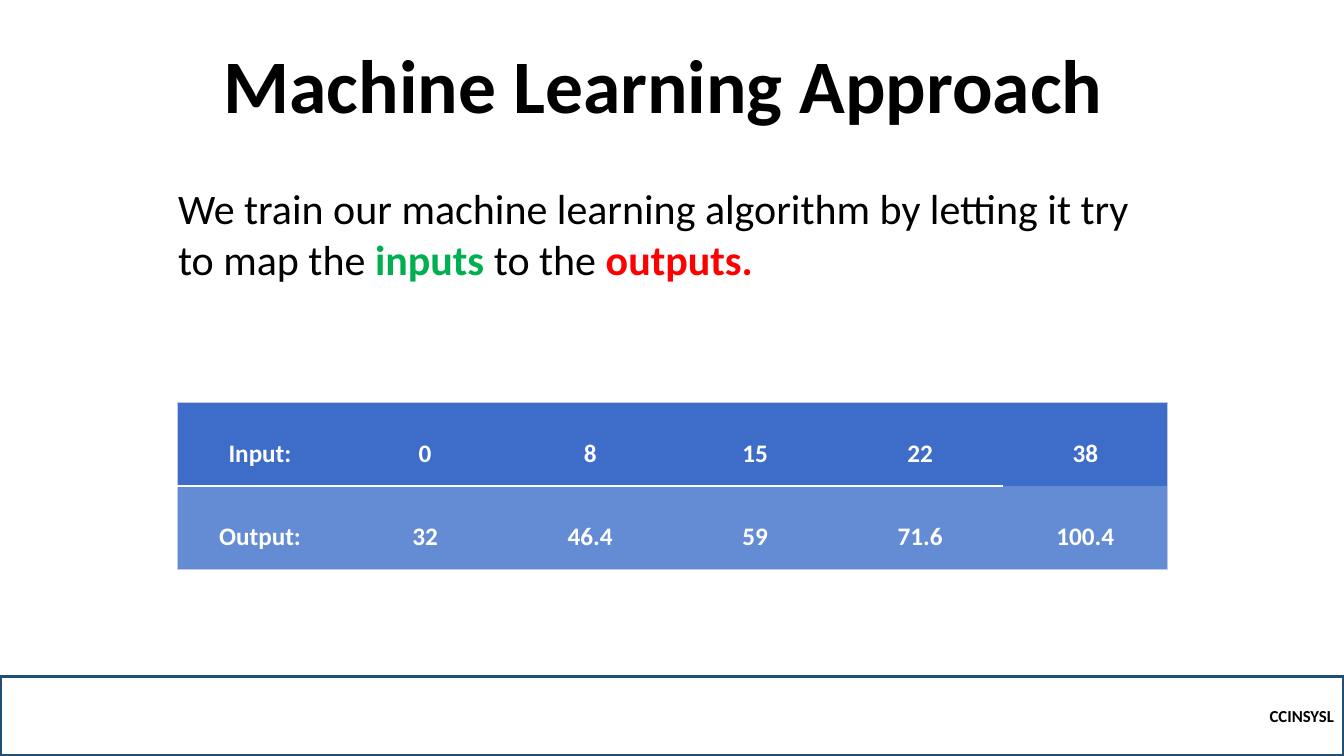
from lxml import etree
from pptx import Presentation
from pptx import util as u
from pptx.dml import color
from pptx.enum import shapes, text
from pptx.oxml import ns

BLACK, WHITE, GREEN, RED = "000000", "FFFFFF", "00B050", "FF0000"
OUTER_EDGE, ROW_EDGE = ("C1C9E4", 0.5), ("FFFFFF", 1.5)
SAMPLES = [
    ["Input:", "0", "8", "15", "22", "38"],
    ["Output:", "32", "46.4", "59", "71.6", "100.4"],
]
ROW_FILLS = ["3D6DC8", "648CD5"]


def rgb(value):
    """Turn a hex string into a colour."""
    return color.RGBColor.from_string(value)


def box(left, top, width, height):
    """Convert a frame given in points to lengths."""
    return [u.Pt(length) for length in (left, top, width, height)]


def write(paragraph, pieces, size, align, spacing=1.0):
    """Fill a paragraph with (text, colour, bold) pieces."""
    layout = {"alignment": align, "line_spacing": spacing, "space_before": u.Pt(0)}
    for key, value in layout.items():
        setattr(paragraph, key, value)
    for wording, shade, bold in pieces:
        run = paragraph.add_run()
        run.text = wording
        for key, value in {"name": "Calibri", "size": u.Pt(size), "bold": bold}.items():
            setattr(run.font, key, value)
        run.font.color.rgb = rgb(shade)


def fill_placeholder(placeholder, frame, anchor, pieces, size, align, spacing=1.0):
    """Move a placeholder and write its text."""
    for key, value in zip(("left", "top", "width", "height"), box(*frame)):
        setattr(placeholder, key, value)
    body = placeholder.text_frame
    settings = {"word_wrap": True, "auto_size": text.MSO_AUTO_SIZE.NONE,
                "vertical_anchor": anchor}
    for key, value in settings.items():
        setattr(body, key, value)
    write(body.paragraphs[0], pieces, size, align, spacing)


def add_footer(slide, label):
    """Draw the outlined footer bar with its course label."""
    footer = slide.shapes.add_shape(shapes.MSO_SHAPE.RECTANGLE, *box(0, 483, 960, 57))
    footer.shadow.inherit = False
    footer.fill.background()
    footer.line.color.rgb = rgb("1F4E79")
    footer.line.width = u.Pt(2.25)
    footer.text_frame.vertical_anchor = text.MSO_ANCHOR.MIDDLE
    write(footer.text_frame.paragraphs[0], [(label, BLACK, True)], 12, text.PP_ALIGN.RIGHT)


def set_border(cell, side, edge):
    """Give one side of a cell a line, or none."""
    line = etree.SubElement(cell._tc.get_or_add_tcPr(), ns.qn(f"a:ln{side}"))
    if edge is None:
        etree.SubElement(line, ns.qn("a:noFill"))
        return
    shade, width = edge
    line.set("w", str(u.Pt(width)))
    solid = etree.SubElement(line, ns.qn("a:solidFill"))
    etree.SubElement(solid, ns.qn("a:srgbClr"), val=shade)


def add_samples(slide):
    """Add the table of training inputs and outputs."""
    last_row, last_column = len(SAMPLES) - 1, len(SAMPLES[0]) - 1
    table = slide.shapes.add_table(
        last_row + 1, last_column + 1, *box(126.8, 287.6, 707.4, 119.2)).table
    table.horz_banding = False
    for r, values in enumerate(SAMPLES):
        for c, value in enumerate(values):
            cell = table.cell(r, c)
            divider = ROW_EDGE if c < last_column else None
            borders = {
                "L": OUTER_EDGE if c == 0 else None,
                "R": OUTER_EDGE if c == last_column else None,
                "T": OUTER_EDGE if r == 0 else divider,
                "B": OUTER_EDGE if r == last_row else divider,
            }
            for side, edge in borders.items():
                set_border(cell, side, edge)
            cell.fill.solid()
            cell.fill.fore_color.rgb = rgb(ROW_FILLS[r])
            write(cell.text_frame.paragraphs[0], [(value, WHITE, True)], 18,
                  text.PP_ALIGN.CENTER, 2.0)


def main():
    """Build and save the slide."""
    deck = Presentation()
    deck.slide_width, deck.slide_height = u.Pt(960), u.Pt(540)
    slide = deck.slides.add_slide(deck.slide_layouts[0])
    title, explanation = slide.placeholders
    fill_placeholder(title, (120, 39, 720, 57), text.MSO_ANCHOR.BOTTOM,
                     [("Machine Learning Approach ", BLACK, True)],
                     54, text.PP_ALIGN.CENTER, 0.9)
    fill_placeholder(explanation, (120, 127, 720, 80), text.MSO_ANCHOR.TOP, [
        ("We train our machine learning algorithm by letting it try to map the ", BLACK, False),
        ("inputs", GREEN, True),
        (" to the ", BLACK, False),
        ("outputs.", RED, True),
    ], 30, text.PP_ALIGN.LEFT)
    add_footer(slide, "CCINSYSL")
    add_samples(slide)
    deck.save("out.pptx")


if __name__ == "__main__":
    main()
